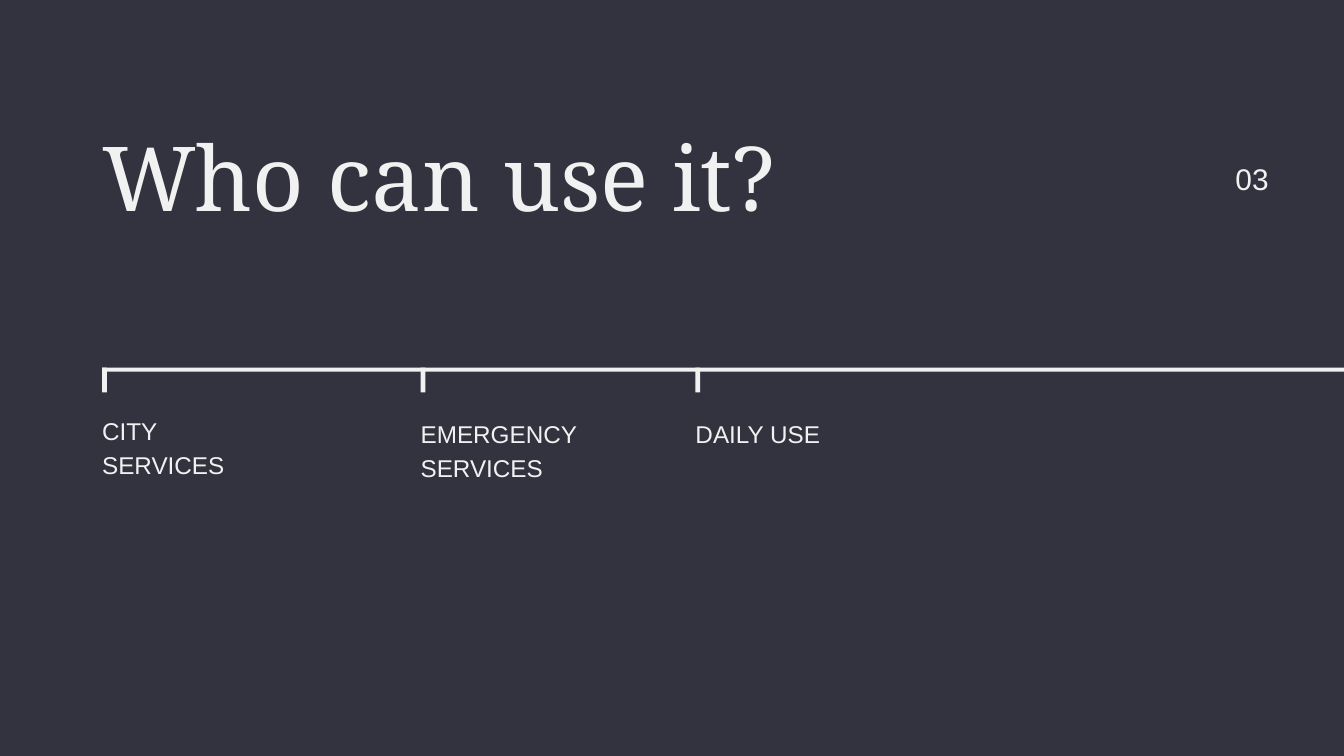
import pptx
import pptx.util
from pptx.dml.color import RGBColor
from pptx.enum.shapes import MSO_SHAPE
from pptx.enum.text import MSO_ANCHOR, MSO_AUTO_SIZE, PP_ALIGN
from pptx.util import Inches

DARK = RGBColor(0x33, 0x33, 0x40)
LIGHT = RGBColor(0xF1, 0xF1, 0xF1)

TITLE = "Who can use it?"
PAGE_NUMBER = "03"
# label, left, label top
USERS = [
    ("CITY SERVICES", 1.52, 6.12),
    ("EMERGENCY SERVICES", 6.26, 6.16),
    ("DAILY USE", 10.35, 6.16),
]
LINE_TOP = 5.47
LABEL_WIDTH = 2.7


def add_bar(s, left, width, height):
    bar = s.shapes.add_shape(MSO_SHAPE.RECTANGLE, Inches(left), Inches(LINE_TOP),
                             Inches(width), Inches(height))
    bar.shadow.inherit = False
    bar.fill.solid()
    bar.fill.fore_color.rgb = LIGHT
    bar.line.fill.background()


def set_text(sp, text, size, spacing, font="Arial", align=PP_ALIGN.LEFT):
    tf = sp.text_frame
    tf.margin_left = tf.margin_top = tf.margin_right = tf.margin_bottom = 0
    tf.word_wrap = True
    tf.auto_size = MSO_AUTO_SIZE.NONE
    tf.vertical_anchor = MSO_ANCHOR.TOP
    p = tf.paragraphs[0]
    p.text = text
    p.alignment = align
    p.line_spacing = pptx.util.Pt(spacing)
    p.font.name = font
    p.font.size = pptx.util.Pt(size)
    p.font.color.rgb = LIGHT


def add_label(s, left, top, width, height, *args, **kwargs):
    sp = s.shapes.add_textbox(Inches(left), Inches(top), Inches(width), Inches(height))
    set_text(sp, *args, **kwargs)


def main():
    prs = pptx.Presentation()
    prs.slide_width, prs.slide_height = Inches(20), Inches(11.25)
    s = prs.slides.add_slide(prs.slide_layouts[5])
    s.background.fill.solid()
    s.background.fill.fore_color.rgb = DARK

    title = s.shapes.title
    title.left, title.top = Inches(1.52), Inches(2.08)
    title.width, title.height = Inches(10.74), Inches(1.4)
    set_text(title, TITLE, 96, 96, font="Noto Serif")
    add_label(s, 18.32, 2.48, 0.56, 0.47, PAGE_NUMBER, 32, 32, align=PP_ALIGN.RIGHT)

    add_bar(s, USERS[0][1], 18.94, 0.06)
    for label, left, top in USERS:
        add_bar(s, left, 0.07, 0.37)
        add_label(s, left, top, LABEL_WIDTH, 0.99, label, 26, 36.4)

    prs.save("out.pptx")


if __name__ == "__main__":
    main()
